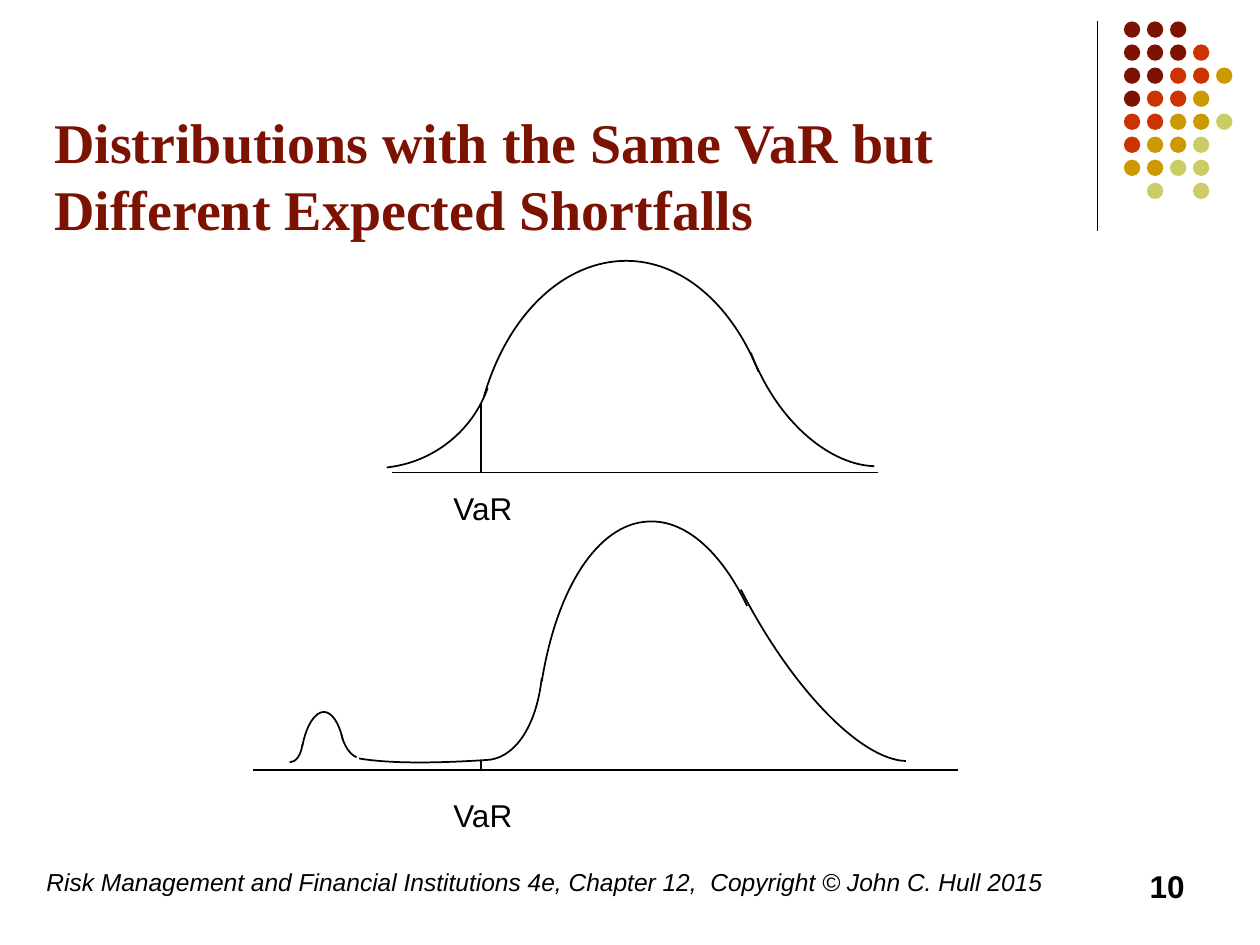
from copy import deepcopy
from dataclasses import dataclass

from pptx import Presentation
from pptx.dml.color import RGBColor
from pptx.enum import shapes, text
from pptx.oxml import ns, xmlchemy
from pptx.util import Inches, Pt


@dataclass(frozen=True)
class Theme:
    ink: str = "000000"
    title: str = "7C1302"
    dots: tuple = ("7C1302", "CC3300", "CC9900", "CCCC66")
    serif: str = "Times New Roman"
    sans: str = "Arial"
    head: int = 32
    body: int = 18
    small: int = 14
    line: float = 1
    rule: float = 0.75


T = Theme()

# Each digit is an index into the dot colours; a space leaves a gap
DOTS = ["000", "0001", "00112", "0112", "11223", "1223", "2233", " 3 3"]

# Arcs: the hub, then a start point and three points for each Bezier curve
BELL = [
    [(-.05, .83), (.87, 1.08), (.75, 1.42), (.44, 1.67), (.07, 1.71)],
    [(1.97, 1.88), (.84, 1.15), (1.03, .49), (1.48, .07), (1.97, .07),
     (2.4, .07), (2.8, .4), (3.02, .95)],
    [(3.7, .65), (3.94, 1.7), (3.61, 1.69), (3.25, 1.4), (3.04, .98),
     (3.01, .92), (2.98, .86), (2.96, .8)],
]
BUMP = [
    [(.27, 1.84), (.4, 1.91), (.39, 1.99), (.35, 2.05), (.3, 2.05)],
    [(.57, 2.1), (.4, 1.92), (.43, 1.76), (.5, 1.65), (.57, 1.65),
     (.63, 1.65), (.69, 1.73), (.72, 1.87)],
    [(.83, 1.8), (.83, 2.01), (.78, 1.99), (.73, 1.92), (.71, 1.83)],
    [(4.27, .92), (1.89, 2.03), (1.45, 2.06), (1.09, 2.06), (.85, 2.02)],
    [(1.76, 1.03), (2.3, 1.38), (2.26, 1.75), (2.1, 2), (1.89, 2.03)],
    [(3.25, 2.18), (2.3, 1.41), (2.42, .66), (2.75, .16), (3.14, .14),
     (3.43, .12), (3.72, .37), (3.93, .81)],
    [(4.49, .36), (5.19, 2.04), (4.83, 2.03), (4.28, 1.46), (3.88, .68)],
]


def write(shape, words, size=T.body, font=T.sans, color=T.ink, bold=False,
          italic=False, align=text.PP_ALIGN.LEFT, anchor=text.MSO_ANCHOR.TOP,
          foot=0.05):
    frame = shape.text_frame
    frame.word_wrap = True
    frame.auto_size = text.MSO_AUTO_SIZE.NONE
    frame.vertical_anchor = anchor
    frame.margin_left = frame.margin_right = Inches(0.1)
    frame.margin_top, frame.margin_bottom = Inches(0.05), Inches(foot)
    para = frame.paragraphs[0]
    para.alignment = align
    run = para.add_run()
    run.text = words
    run.font.size, run.font.name = Pt(size), font
    run.font.bold, run.font.italic = bold, italic
    run.font.color.rgb = RGBColor.from_string(color)


def label(slide, words, box, **style):
    write(slide.shapes.add_textbox(*map(Inches, box)), words, **style)


def line(slide, start, end, width=T.line):
    link = slide.shapes.add_connector(
        shapes.MSO_CONNECTOR.STRAIGHT, *map(Inches, (*start, *end)))
    link.line.width = Pt(width)
    link.line.color.rgb = RGBColor.from_string(T.ink)
    link._element.spPr.append(xmlchemy.OxmlElement("a:effectLst"))


def bend(path):
    """Turn each three line segments before the hub into one cubic curve."""
    legs = path.findall(ns.qn("a:lnTo"))[:-1]
    for i in range(0, len(legs), 3):
        cubic = xmlchemy.OxmlElement("a:cubicBezTo")
        legs[i].addprevious(cubic)
        for leg in legs[i:i + 3]:
            cubic.append(leg[0])
            path.remove(leg)


def curve(slide, arc, left, top):
    hub, *knots = [(Inches(left + x), Inches(top + y)) for x, y in arc]
    pen = slide.shapes.build_freeform(*knots[0])
    pen.add_line_segments(knots[1:] + [hub], close=True)
    shape = pen.convert_to_shape()
    shape.shadow.inherit = False
    shape.fill.background()
    shape.line.width = Pt(T.line)
    shape.line.color.rgb = RGBColor.from_string(T.ink)
    # The open curve has the stroke; the sector to the hub has none
    sector = next(shape._element.iter(ns.qn("a:path")))
    bend(sector)
    stroke = deepcopy(sector)
    for part in stroke[-2:]:
        stroke.remove(part)
    stroke.set("fill", "none")
    sector.set("stroke", "0")
    sector.addprevious(stroke)


# Corner ornament: a rule and a grid of dots
def corner(slide, left, top):
    line(slide, (left, top), (left, top + 1.66), T.rule)
    pitch, size = 1.28 / 7, 0.13
    for row, marks in enumerate(DOTS):
        for col, mark in enumerate(marks):
            if mark == " ":
                continue
            dot = slide.shapes.add_shape(
                shapes.MSO_SHAPE.OVAL, Inches(left + 0.21 + col * pitch),
                Inches(top + row * pitch), Inches(size), Inches(size))
            dot.shadow.inherit = False
            dot.fill.solid()
            dot.fill.fore_color.rgb = RGBColor.from_string(T.dots[int(mark)])
            dot.line.fill.background()


def heading(slide, box):
    shape = slide.shapes.title
    shape.left, shape.top, shape.width, shape.height = map(Inches, box)
    write(shape, "Distributions with the Same VaR but Different Expected Shortfalls",
          size=T.head, font=T.serif, color=T.title, bold=True,
          anchor=text.MSO_ANCHOR.BOTTOM, foot=0.58)


# One distribution: curves, axis, VaR mark and its label
def plot(slide, left, top, arcs, axis, mark, name):
    for arc in arcs:
        curve(slide, arc, left, top)
    start, end, base = axis
    line(slide, (left + start, top + base), (left + end, top + base))
    x, y = mark
    line(slide, (left + x, top + y), (left + x, top + base))
    x, y, width = name
    label(slide, "VaR", (left + x, top + y, width, 0.4))


def footer(slide, left, top):
    label(slide, "Risk Management and Financial Institutions 4e, Chapter 12,  "
          "Copyright © John C. Hull 2015", (left, top, 8.27, 0.5),
          size=T.small, italic=True)
    label(slide, "10", (left + 6.9, top, 2.33, 0.5), bold=True,
          align=text.PP_ALIGN.RIGHT)


def main():
    deck = Presentation()
    deck.slide_width, deck.slide_height = Inches(10), Inches(7.5)
    slide = deck.slides.add_slide(deck.slide_layouts[5])
    corner(slide, 8.71, 0.17)
    heading(slide, (0.33, 0.78, 8.42, 1.72))
    plot(slide, 3, 2, BELL, axis=(0.11, 3.97, 1.75), mark=(0.82, 1.2),
         name=(0.5, 1.83, 0.79))
    plot(slide, 2, 4, BUMP, axis=(0.01, 5.6, 2.11), mark=(1.82, 2.03),
         name=(1.5, 2.27, 0.87))
    footer(slide, 0.27, 6.83)
    deck.save("out.pptx")


if __name__ == "__main__":
    main()
